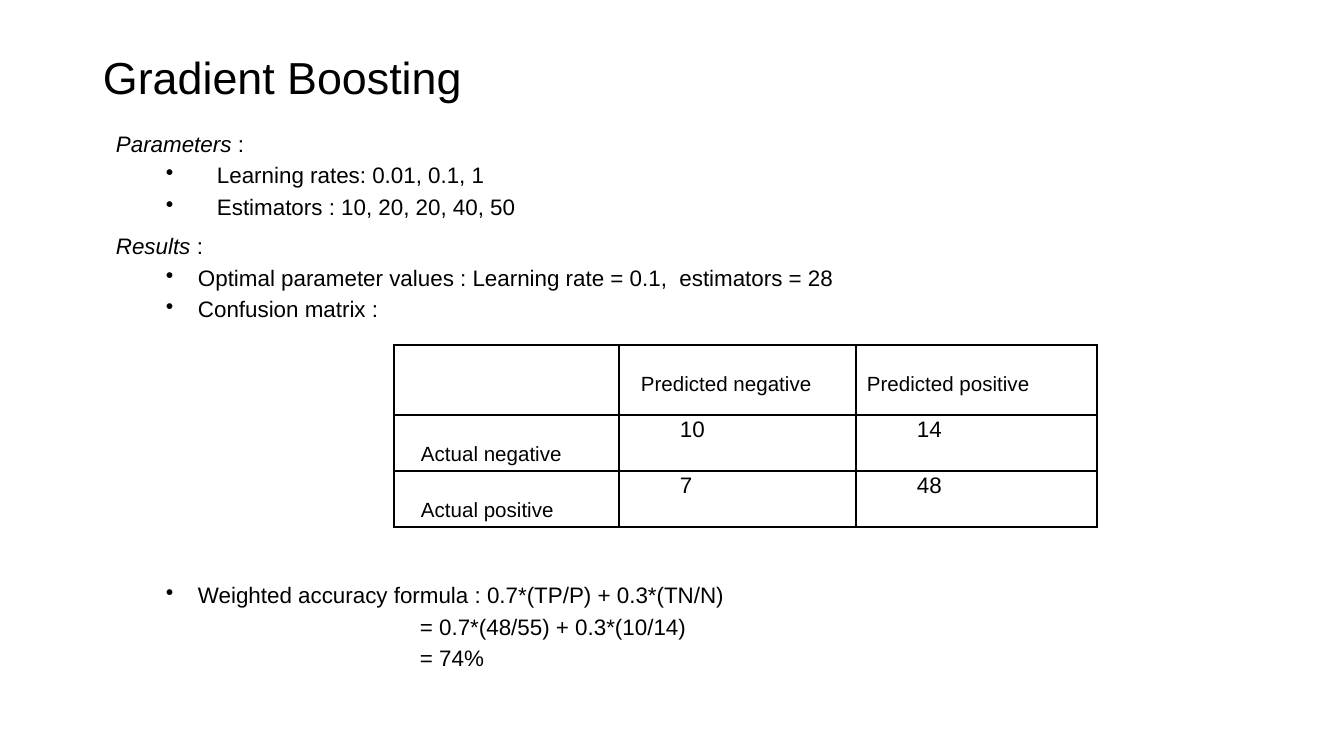
"""Build the Gradient Boosting slide with its parameters, confusion matrix and weighted accuracy."""
from lxml import etree
from pptx import Presentation
from pptx.dml.color import RGBColor
from pptx.enum.text import MSO_ANCHOR
from pptx.oxml.ns import qn
from pptx.util import Pt

MIDDLE = MSO_ANCHOR.MIDDLE
PX = 914400 / 134.4
THEME = {"font": "Arial", "ink": "000000", "title": 24, "body": 12, "label": 11, "border": 1}


def px(length):
    return round(length * PX)


def style(paragraph, size):
    paragraph.font.name = THEME["font"]
    paragraph.font.size = Pt(THEME[size])
    paragraph.font.color.rgb = RGBColor.from_string(THEME["ink"])


deck = Presentation()
deck.slide_width, deck.slide_height = px(1344), px(756)
slide = deck.slides.add_slide(deck.slide_layouts[6])

frames = []
for box in ((93, 47, 1064, 67), (106, 128, 1159, 612)):
    frame = slide.shapes.add_textbox(*map(px, box)).text_frame
    frame.word_wrap = True
    frame.margin_left = frame.margin_right = px(10)
    frame.margin_top = frame.margin_bottom = px(5)
    frames.append(frame)
title, body = frames

title.vertical_anchor = MIDDLE
heading = title.paragraphs[0]
heading.text = "Gradient Boosting"
heading.line_spacing = 0.9
style(heading, "title")

SECTION, WIDE, BULLET, FORMULA = (0, 0), (101, -51), (82, -32), (304, 0)
outline = [
    ("Parameters", SECTION, 0),
    ("Learning rates: 0.01, 0.1, 1", WIDE, 4),
    ("Estimators : 10, 20, 20, 40, 50", WIDE, 4),
    ("Results", SECTION, 8),
    ("Optimal parameter values : Learning rate = 0.1,  estimators = 28", BULLET, 4),
    ("Confusion matrix :", BULLET, 4),
    ("Weighted accuracy formula : 0.7*(TP/P) + 0.3*(TN/N)", BULLET, 140),
    ("= 0.7*(48/55) + 0.3*(10/14)", FORMULA, 4),
    ("= 74%", FORMULA, 4),
]
for index, (wording, (margin, hanging), space) in enumerate(outline):
    line = body.add_paragraph() if index else body.paragraphs[0]
    line.line_spacing = 0.9
    line.space_before = Pt(space)
    run = line.add_run()
    run.text = wording
    if margin == 0:
        run.font.italic = True
        line.add_run().text = " :"
    properties = line._p.get_or_add_pPr()
    properties.set("marL", str(px(margin)))
    properties.set("indent", str(px(hanging)))
    if hanging:
        etree.SubElement(properties, qn("a:buChar")).set("char", "•")
    style(line, "body")

matrix = [
    ["", "Predicted negative", "Predicted positive"],
    ["Actual negative", "10", "14"],
    ["Actual positive", "7", "48"],
]
left_insets = [[11, 22, 11], [27, 61, 61], [27, 61, 61]]
column_widths, row_heights = (225, 237, 241), (70, 56, 56)
confusion = slide.shapes.add_table(
    3, 3, px(394), px(345), px(sum(column_widths)), px(sum(row_heights))).table
confusion.first_row = confusion.horz_banding = False
for column, width in zip(confusion.columns, column_widths):
    column.width = px(width)
for row, height in zip(confusion.rows, row_heights):
    row.height = px(height)

for r, values in enumerate(matrix):
    for c, value in enumerate(values):
        cell = confusion.cell(r, c)
        is_count = value.isdigit()
        cell.text = value
        cell.margin_left, cell.margin_right = px(left_insets[r][c]), px(11)
        cell.margin_top, cell.margin_bottom = px(5 if is_count else 28), 0
        entry = cell.text_frame.paragraphs[0]
        if is_count:
            entry.line_spacing = 0.9
        style(entry, "body" if is_count else "label")
        cell_properties = cell._tc.get_or_add_tcPr()
        for side in ("a:lnL", "a:lnR", "a:lnT", "a:lnB"):
            border = etree.SubElement(cell_properties, qn(side), w=str(Pt(THEME["border"])))
            paint = etree.SubElement(border, qn("a:solidFill"))
            etree.SubElement(paint, qn("a:srgbClr"), val=THEME["ink"])
        cell.fill.background()

deck.save("out.pptx")
